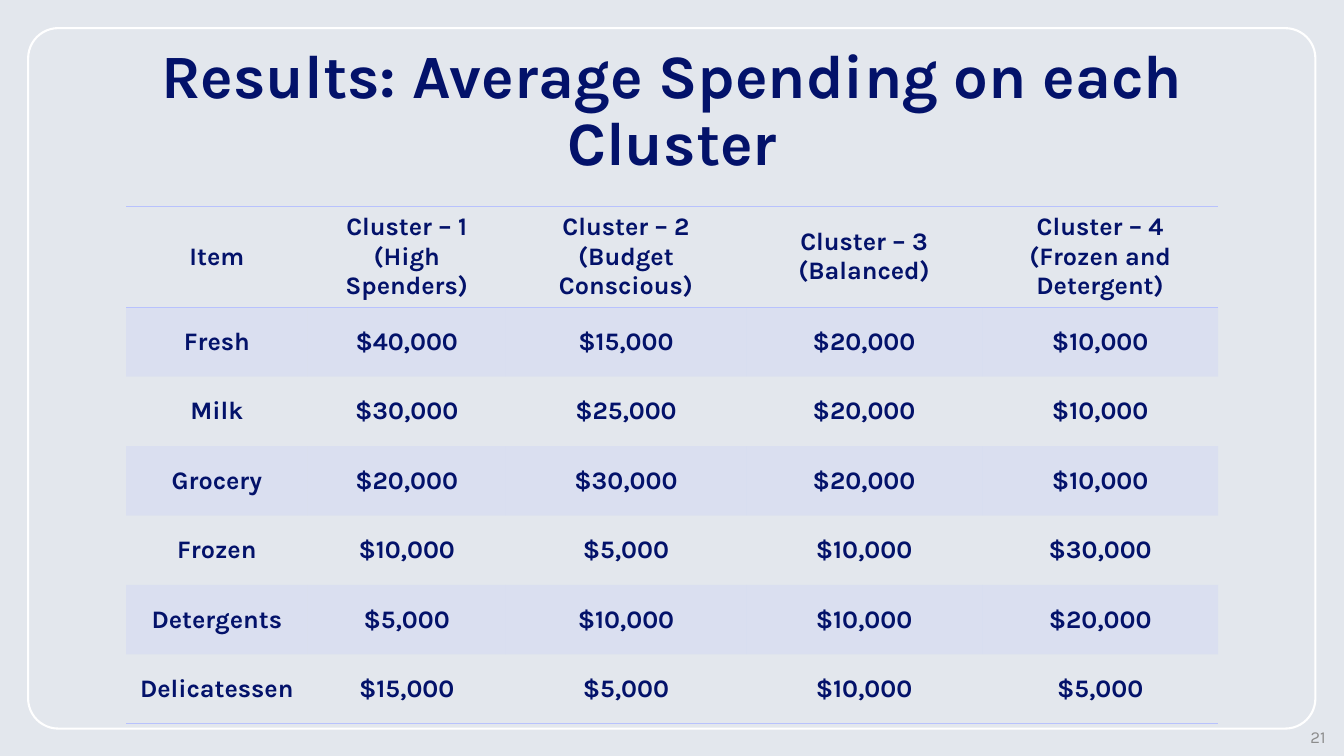
from pptx import Presentation
from pptx.dml.color import RGBColor
from pptx.enum.shapes import MSO_SHAPE
from pptx.enum.text import MSO_ANCHOR, PP_ALIGN
from pptx.oxml.ns import qn
from pptx.util import Cm, Pt
from lxml import etree

ROUNDED = MSO_SHAPE.ROUNDED_RECTANGLE
CENTER, RIGHT = PP_ALIGN.CENTER, PP_ALIGN.RIGHT
MIDDLE, BOTTOM = MSO_ANCHOR.MIDDLE, MSO_ANCHOR.BOTTOM

FONT = "Karla"
COLORS = {"page": "E3E7ED", "frame": "FFFFFF", "ink": "03126A",
          "accent": "B8C2FD", "number": "8C8C8C"}
NO_GRID_STYLE = "{2D5ABB26-0587-4C30-8999-92F81FD0307C}"

HEADERS = ["Item", "Cluster – 1\n(High Spenders)", "Cluster – 2\n(Budget Conscious)",
           "Cluster – 3\n(Balanced)", "Cluster – 4\n(Frozen and Detergent)"]
SPENDING = {
    "Fresh": (40000, 15000, 20000, 10000),
    "Milk": (30000, 25000, 20000, 10000),
    "Grocery": (20000, 30000, 20000, 10000),
    "Frozen": (10000, 5000, 10000, 30000),
    "Detergents": (5000, 10000, 10000, 20000),
    "Delicatessen": (15000, 5000, 10000, 5000),
}
COLUMN_WIDTHS = [4.57, 5, 6.05, 5.95, 5.95]
HEADER_HEIGHT, ROW_HEIGHT = 2.34, 1.75


def color(name):
    return RGBColor.from_string(COLORS[name])


class SlideBuilder:
    def __init__(self, page):
        self.page = page
        background = page.background.fill
        background.solid()
        background.fore_color.rgb = color("page")

    def add_lines(self, frame, text, size, ink="ink", bold=True, align=CENTER, spacing=None):
        for index, line in enumerate(text.split("\n")):
            para = frame.add_paragraph() if index else frame.paragraphs[0]
            para.alignment = align
            para.line_spacing = spacing
            span = para.add_run()
            span.text = line
            span.font.name = FONT
            span.font.size = Pt(size)
            span.font.bold = bold
            span.font.color.rgb = color(ink)

    def frame(self, left, top, width, height):
        box = self.page.shapes.add_shape(ROUNDED, Cm(left), Cm(top), Cm(width), Cm(height))
        box.adjustments[0] = 0.043
        box.shadow.inherit = False
        box.fill.background()
        box.line.color.rgb = color("frame")
        box.line.width = Pt(1.5)

    def text(self, left, top, width, height, text, size, anchor, **style):
        box = self.page.shapes.add_textbox(Cm(left), Cm(top), Cm(width), Cm(height))
        box.text_frame.word_wrap = True
        box.text_frame.vertical_anchor = anchor
        self.add_lines(box.text_frame, text, size, **style)

    def border(self, cell, sides):
        properties = cell._tc.get_or_add_tcPr()
        for index, side in enumerate(sides):
            line = etree.Element(qn(f"a:ln{side}"), w=str(Pt(1)))
            fill = etree.SubElement(line, qn("a:solidFill"))
            etree.SubElement(fill, qn("a:srgbClr"), val=COLORS["accent"])
            properties.insert(index, line)

    def shade(self, cell):
        cell.fill.solid()
        cell.fill.fore_color.rgb = color("accent")
        tint = cell._tc.tcPr.find(f"{qn('a:solidFill')}/{qn('a:srgbClr')}")
        etree.SubElement(tint, qn("a:alpha"), val="20000")

    def table(self, left, top, widths, heights, rows):
        table = self.page.shapes.add_table(len(rows), len(widths), Cm(left), Cm(top),
                                           Cm(sum(widths)), Cm(sum(heights))).table
        table.horz_banding = False
        table._tbl.tblPr.find(qn("a:tableStyleId")).text = NO_GRID_STYLE
        for column, width in zip(table.columns, widths):
            column.width = Cm(width)
        for row, height in zip(table.rows, heights):
            row.height = Cm(height)
        borders = {0: "TB", len(rows) - 1: "B"}
        for r, row in enumerate(rows):
            for c, value in enumerate(row):
                cell = table.cell(r, c)
                cell.vertical_anchor = MIDDLE
                self.add_lines(cell.text_frame, value, 18)
                if r % 2:
                    self.shade(cell)
                else:
                    cell.fill.background()
                self.border(cell, borders.get(r, ""))


def main():
    deck = Presentation()
    deck.slide_width, deck.slide_height = Cm(33.87), Cm(19.05)
    slide = SlideBuilder(deck.slides.add_slide(deck.slide_layouts[6]))
    slide.frame(0.71, 0.71, 32.44, 17.65)
    slide.text(2.67, 2.36, 28.55, 2.26, "Results: Average Spending on each Cluster",
               44, BOTTOM, spacing=0.9)
    rows = [HEADERS] + [[item] + [f"${amount:,}" for amount in amounts]
                        for item, amounts in SPENDING.items()]
    slide.table(3.18, 5.2, COLUMN_WIDTHS,
                [HEADER_HEIGHT] + [ROW_HEIGHT] * len(SPENDING), rows)
    slide.text(26.04, 18.24, 7.62, 0.64, "21", 12, MIDDLE,
               ink="number", bold=False, align=RIGHT)
    deck.save("out.pptx")


if __name__ == "__main__":
    main()
